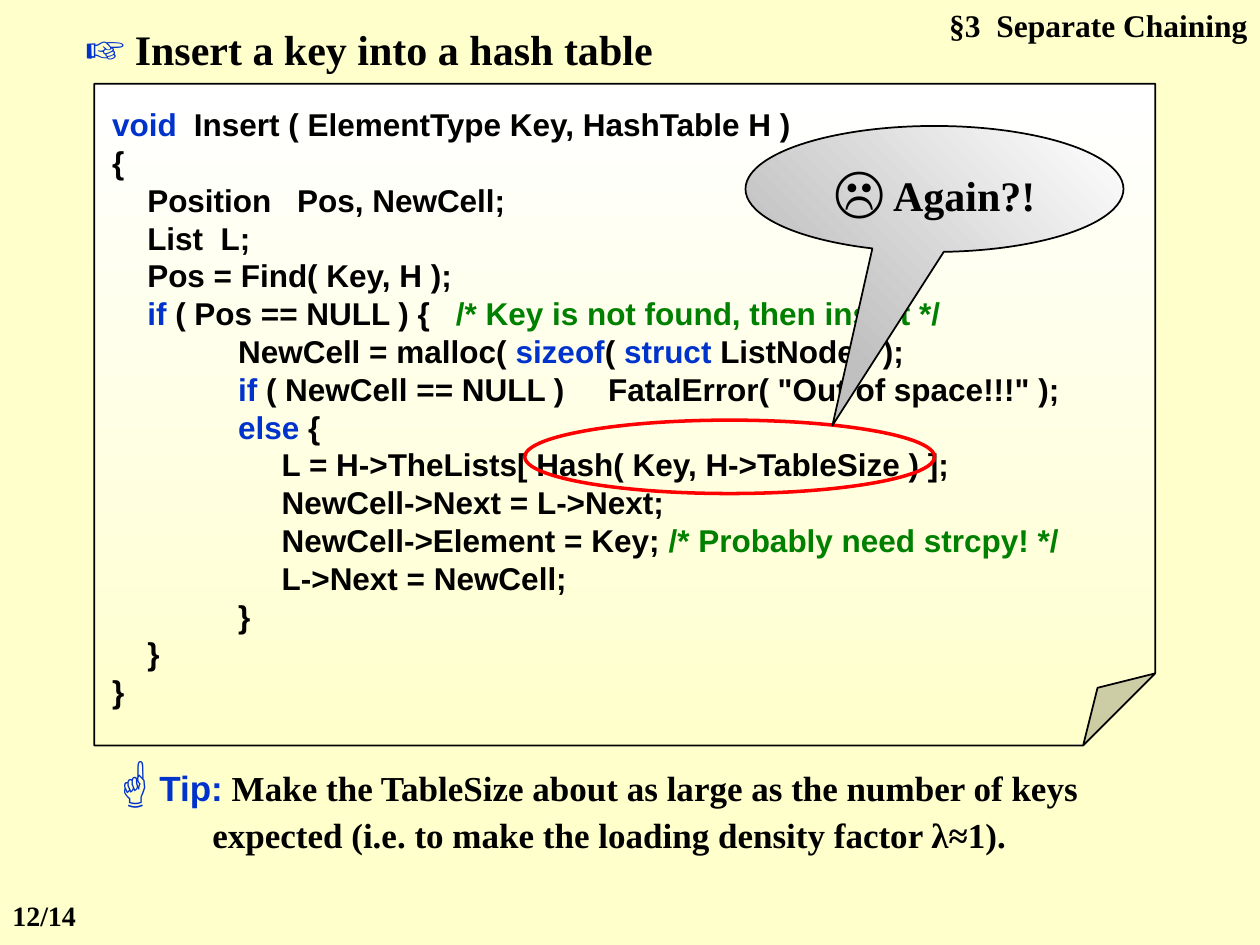
import lxml.etree
import pptx
import pptx.dml.color
import pptx.enum.shapes
import pptx.enum.text
import pptx.oxml.ns
import pptx.util

Cm = pptx.util.Cm
Pt = pptx.util.Pt
qn = pptx.oxml.ns.qn
SHAPE = pptx.enum.shapes.MSO_SHAPE
ALIGN = pptx.enum.text.PP_ALIGN
ANCHOR = pptx.enum.text.MSO_ANCHOR

THEME = {
    "serif": "Times New Roman", "sans": "Arial",
    "page": "FFFFCC", "text": "000000", "keyword": "0033CC", "comment": "008000",
    "paper": "FFFFFF", "silver": "C0C0C0", "mark": "FF0000",
    "small": 16, "body": 18, "tip": 20, "title": 24, "hand": 28, "icon": 32,
}

LABELS = [
    {"box": (18.21, 0, 7.19, 1.02), "align": ALIGN.RIGHT,
     "runs": [("§3  Separate Chaining", "text", "body", "serif")]},
    {"box": (1.47, 0.2, 12.9, 1.45),
     "runs": [("☞", "keyword", "hand", "serif"),
              (" Insert a key into a hash table", "text", "title", "serif")]},
    {"box": (1.9, 14.91, 21.16, 2.46), "hang": 2.13,
     "runs": [("☝", "keyword", "icon", "serif"),
              ("Tip:", "keyword", "tip", "sans"),
              (" Make the TableSize about as large as the number of keys expected "
               "(i.e. to make the loading density factor λ≈1).", "text", "tip", "serif")]},
    {"box": (0, 17.98, 2.74, 0.94),
     "runs": [("12/14", "text", "small", "serif")]},
]

INDENTS = [0, 0.71, 2.54, 3.42]
CODE = [
    (0, [1.65], [("void", "keyword"), ("\tInsert ( ElementType Key, HashTable H )", "text")]),
    (0, [], [("{", "text")]),
    (1, [3.73], [("Position\tPos, NewCell;", "text")]),
    (1, [], [("List  L;", "text")]),
    (1, [], [("Pos = Find( Key, H );", "text")]),
    (1, [6.93], [("if ", "keyword"), ("( Pos == NULL ) {\t", "text"),
                 ("/* Key is not found, then insert */", "comment")]),
    (2, [], [("NewCell = malloc( ", "text"), ("sizeof", "keyword"), ("( ", "text"),
             ("struct", "keyword"), (" ListNode ) );", "text")]),
    (2, [10], [("if ", "keyword"),
               ('( NewCell == NULL )\tFatalError( "Out of space!!!" );', "text")]),
    (2, [], [("else", "keyword"), (" {", "text")]),
    (3, [], [("L = H->TheLists[ Hash( Key, H->TableSize ) ];", "text")]),
    (3, [], [("NewCell->Next = L->Next;", "text")]),
    (3, [], [("NewCell->Element = Key; ", "text"), ("/* Probably need strcpy! */", "comment")]),
    (3, [], [("L->Next = NewCell;", "text")]),
    (2, [], [("}", "text")]),
    (1, [], [("}", "text")]),
    (0, [], [("}", "text")]),
]
PAPER = (1.9, 1.69, 21.39, 13.34)
RING = (10.58, 8.47, 8.26, 1.48)
CALLOUT = (15.03, 2.54, 7.62, 2.54)
OUTCRY = [("☹", "text", "icon", "serif"), (" Again?!", "text", "title", "serif")]


def rgb(name):
    return pptx.dml.color.RGBColor.from_string(THEME[name])


def write(p, runs):
    p.font.bold = True
    setters = [
        lambda f, v: setattr(f.color, "rgb", rgb(v)),
        lambda f, v: setattr(f, "size", Pt(THEME[v])),
        lambda f, v: setattr(f, "name", THEME[v]),
    ]
    styles = list(zip(*(run[1:] for run in runs)))
    for text, *values in runs:
        r = p.add_run()
        r.text = text
        for setter, value, column in zip(setters, values, styles):
            setter(p.font if len(set(column)) == 1 else r.font, value)


def set_tabs(p, stops):
    tabs = lxml.etree.SubElement(p._p.get_or_add_pPr(), qn("a:tabLst"))
    for stop in stops:
        lxml.etree.SubElement(tabs, qn("a:tab"), pos=str(Cm(stop)), algn="l")


def add_shape(s, kind, box, line, width, gradient=None, angle=0):
    sp = s.shapes.add_shape(kind, *map(Cm, box))
    sp.shadow.inherit = False
    sp.line.color.rgb = rgb(line)
    sp.line.width = Pt(width)
    if gradient:
        sp.fill.gradient()
        sp.fill.gradient_angle = angle
        for i, (stop, color) in enumerate(zip(sp.fill.gradient_stops, gradient)):
            stop.position = i
            stop.color.rgb = rgb(color)
    else:
        sp.fill.background()
    return sp


def add_label(s, box, runs, align=ALIGN.LEFT, hang=0):
    tf = s.shapes.add_textbox(*map(Cm, box)).text_frame
    tf.word_wrap = True
    tf.auto_size = pptx.enum.text.MSO_AUTO_SIZE.SHAPE_TO_FIT_TEXT
    p = tf.paragraphs[0]
    p.alignment = align
    if hang:
        pPr = p._p.get_or_add_pPr()
        pPr.set("marL", str(Cm(hang)))
        pPr.set("indent", str(-Cm(hang)))
    write(p, runs)


def add_code(s):
    sp = add_shape(s, SHAPE.FOLDED_CORNER, PAPER, "text", 1, ("paper", "page"), 270)
    guides = sp._element.spPr.find(qn("a:prstGeom")).find(qn("a:avLst"))
    lxml.etree.SubElement(guides, qn("a:gd"), name="adj", fmla="val 10900")
    tf = sp.text_frame
    tf.word_wrap = True
    tf.vertical_anchor = ANCHOR.TOP
    tf.margin_left, tf.margin_top = Cm(0.36), Cm(0.43)
    for i, (level, gaps, runs) in enumerate(CODE):
        p = tf.add_paragraph() if i else tf.paragraphs[0]
        p.alignment = ALIGN.LEFT
        stops = ([INDENTS[level]] if level else []) + gaps
        if stops:
            set_tabs(p, stops)
        if level:
            (first, color), *rest = runs
            runs = [("\t" + first, color), *rest]
        write(p, [run + ("body", "sans") for run in runs])


def add_callout(s):
    add_shape(s, SHAPE.OVAL, RING, "mark", 2)
    sp = add_shape(s, SHAPE.OVAL_CALLOUT, CALLOUT, "text", 1, ("silver", "paper"), 45)
    sp.adjustments[0], sp.adjustments[1] = -0.27, 1.877
    tf = sp.text_frame
    tf.word_wrap = True
    tf.vertical_anchor = ANCHOR.MIDDLE
    tf.paragraphs[0].alignment = ALIGN.CENTER
    write(tf.paragraphs[0], OUTCRY)


def main():
    prs = pptx.Presentation()
    prs.slide_width, prs.slide_height = Cm(25.4), Cm(19.05)
    s = prs.slides.add_slide(prs.slide_layouts[6])
    s.background.fill.solid()
    s.background.fill.fore_color.rgb = rgb("page")
    add_code(s)
    add_callout(s)
    for label in LABELS:
        add_label(s, **label)
    prs.save("out.pptx")


if __name__ == "__main__":
    main()
